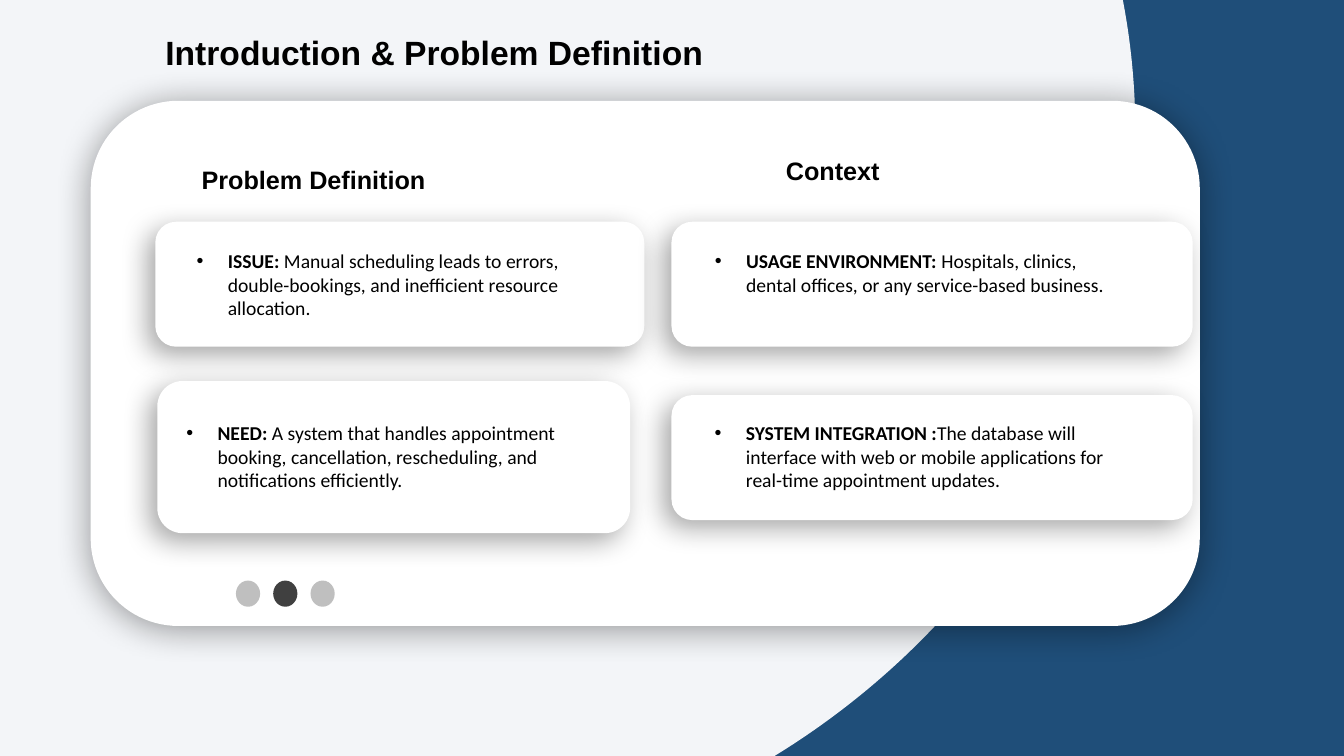
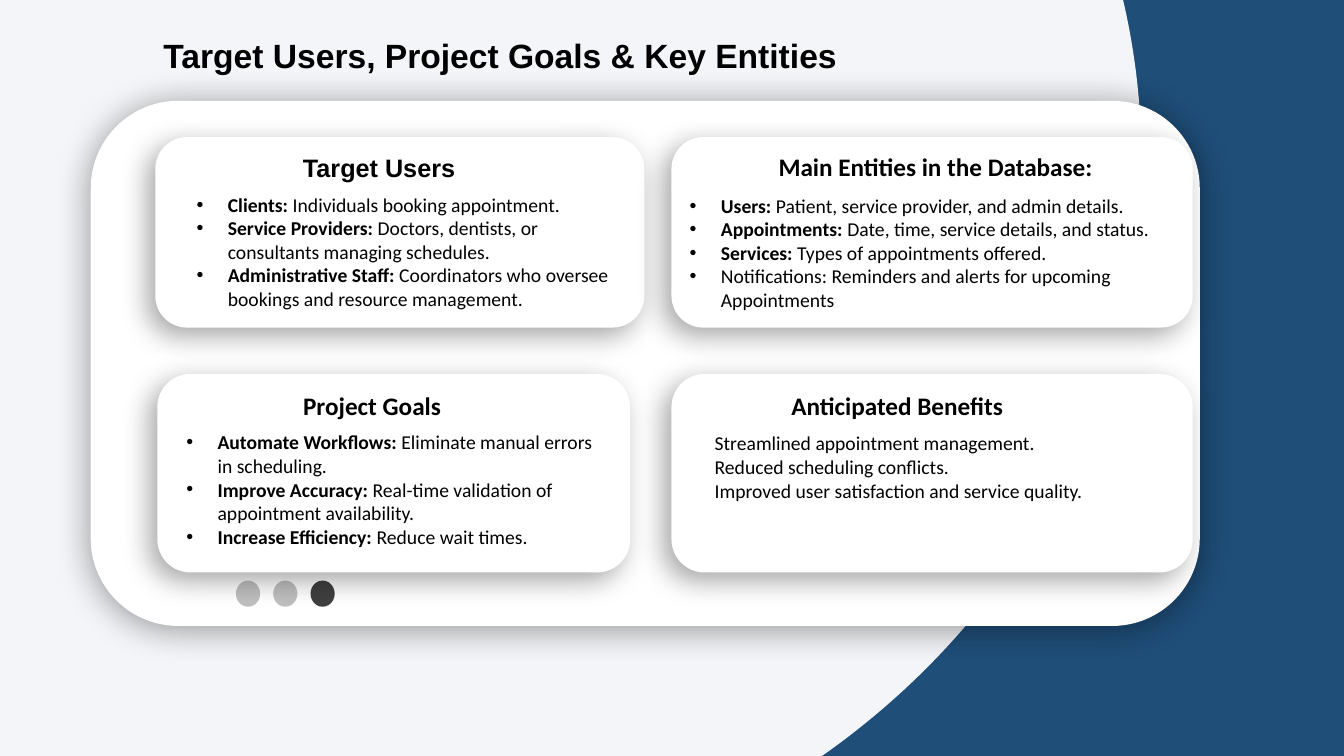
from dataclasses import dataclass

from lxml import etree
from pptx import Presentation
from pptx.dml.color import RGBColor
from pptx.enum.shapes import MSO_SHAPE
from pptx.enum.text import MSO_ANCHOR, MSO_AUTO_SIZE, PP_ALIGN
from pptx.oxml.ns import qn
from pptx.util import Inches, Pt

NAVY, WHITE, BLACK = "1F4E79", "FFFFFF", "000000"
DOT, ACTIVE_DOT = "BFBFBF", "404040"
HEADING_FONT, BODY_FONT = "Arial", "Calibri"
BULLET_INDENT = 0.31
PANEL_SHADOW = {"opacity": 40, "blur": 26, "distance": 3, "angle": 90}
CARD_SHADOW = {"opacity": 34, "blur": 20, "distance": 8, "angle": 135}
DOT_COUNT, DOT_STEP = 3, 0.37


@dataclass
class Box:
    """A rectangle in inches."""
    left: float
    top: float
    width: float
    height: float

    def inside(self, part):
        """Return a part, given relative to this box, in page coordinates."""
        return Box(self.left + part.left, self.top + part.top, part.width, part.height)

    def lengths(self):
        """Return left, top, width and height as lengths."""
        return [Inches(v) for v in (self.left, self.top, self.width, self.height)]


@dataclass
class Card:
    """A card, with its heading and text placed relative to its box."""
    box: Box
    text_box: Box
    items: list
    heading: str = ""
    heading_box: Box = None
    heading_font: str = BODY_FONT
    heading_align: PP_ALIGN = PP_ALIGN.CENTER
    bullets: bool = True


PANEL = Box(0.9, 1, 11, 5.21)
FIRST_DOT = Box(1.44, 4.76, 0.24, 0.26)

PAGES = [
    {
        "title": "Introduction & Problem Definition",
        "title_box": Box(1.54, 0.27, 6.79, 0.5),
        "circle": Box(-4.63, -6.11, 15.89, 14.83),
        "active": 1,
        "cards": [
            Card(Box(0.64, 1.2, 4.85, 1.24), Box(0.31, 0.22, 4.06, 0.81),
                 [("ISSUE:", " Manual scheduling leads to errors, double-bookings, "
                             "and inefficient resource allocation.")],
                 "Problem Definition", Box(0.3, -0.62, 2.54, 0.4), HEADING_FONT),
            Card(Box(5.76, 1.2, 5.17, 1.24), Box(0.33, 0.22, 4.33, 0.57),
                 [("USAGE ENVIRONMENT:", " Hospitals, clinics, dental offices, "
                                         "or any service-based business.")],
                 "Context", Box(0.33, -0.71, 2.54, 0.4), HEADING_FONT),
            Card(Box(0.66, 2.78, 4.69, 1.51), Box(0.19, 0.35, 4.3, 0.81),
                 [("NEED: ", "A system that handles appointment booking, cancellation, "
                             "rescheduling, and notifications efficiently.")]),
            Card(Box(5.76, 2.92, 5.17, 1.24), Box(0.33, 0.21, 4.33, 0.81),
                 [("SYSTEM INTEGRATION :", "The database will interface with web or mobile "
                                           "applications for real-time appointment updates.")]),
        ],
    },
    {
        "title": "Target Users, Project Goals & Key Entities",
        "title_box": Box(1.52, 0.3, 7.72, 0.5),
        "circle": Box(-4.57, -5.84, 15.89, 14.83),
        "active": 2,
        "cards": [
            Card(Box(0.64, 0.36, 4.85, 1.89), Box(0.31, 0.5, 4.4, 1.28),
                 [("Clients: ", "Individuals booking appointment."),
                  ("Service Providers: ", "Doctors, dentists, or consultants managing schedules."),
                  ("Administrative Staff: ",
                   "Coordinators who oversee bookings and resource management.")],
                 "Target Users", Box(0.95, 0.1, 2.54, 0.4), HEADING_FONT),
            Card(Box(5.76, 0.36, 5.17, 1.89), Box(0.08, 0.51, 5.02, 1.28),
                 [("Users:", " Patient, service provider, and admin details."),
                  ("Appointments:", " Date, time, service details, and status."),
                  ("Services:", " Types of appointments offered."),
                  ("", "Notifications: Reminders and alerts for upcoming Appointments")],
                 "Main Entities in the Database:", Box(0.87, 0.09, 3.5, 0.4)),
            Card(Box(0.66, 2.71, 4.69, 1.97), Box(0.19, 0.51, 4.3, 1.28),
                 [("Automate Workflows: ", "Eliminate manual errors in scheduling."),
                  ("Improve Accuracy: ", "Real-time validation of appointment availability."),
                  ("Increase Efficiency: ", "Reduce wait times.")],
                 "Project Goals", Box(0.86, 0.11, 2.54, 0.4)),
            Card(Box(5.76, 2.71, 5.17, 1.97), Box(0.33, 0.52, 4.33, 0.78),
                 [("", "Streamlined appointment management."),
                  ("", "Reduced scheduling conflicts."),
                  ("", "Improved user satisfaction and service quality.")],
                 "Anticipated Benefits", Box(1.09, 0.11, 2.54, 0.4),
                 heading_align=PP_ALIGN.LEFT, bullets=False),
        ],
    },
]


def paint(fill, color):
    """Make a fill solid in a hex colour."""
    fill.solid()
    fill.fore_color.rgb = RGBColor.from_string(color)


def add_plain_shape(page, kind, box, color):
    """Add a filled shape without line or shadow."""
    shape = page.shapes.add_shape(kind, *box.lengths())
    shape.shadow.inherit = False
    paint(shape.fill, color)
    shape.line.fill.background()
    return shape


def set_opacity(color_element, percent):
    """Give a colour element an opacity."""
    etree.SubElement(color_element, qn("a:alpha"), val=str(percent * 1000))


def cast_shadow(shape, opacity, blur, distance, angle):
    """Give a shape a soft black outer shadow."""
    effects = shape.element.spPr.find(qn("a:effectLst"))
    shadow = etree.SubElement(
        effects, qn("a:outerShdw"), blurRad=str(Pt(blur)), dist=str(Pt(distance)),
        dir=str(angle * 60000), algn="ctr", rotWithShape="0")
    set_opacity(etree.SubElement(shadow, qn("a:srgbClr"), val=BLACK), opacity)


def set_bullet(para, bullet):
    """Turn the bullet of a paragraph on or off."""
    properties = para._p.get_or_add_pPr()
    indent = Inches(BULLET_INDENT) if bullet else 0
    properties.set("marL", str(indent))
    properties.set("indent", str(-indent))
    if bullet:
        etree.SubElement(properties, qn("a:buFont"), typeface="Arial")
        etree.SubElement(properties, qn("a:buChar"), char="•")
    else:
        etree.SubElement(properties, qn("a:buNone"))


def write_text(page, box, items, holder=None, size=14, font=BODY_FONT,
               align=PP_ALIGN.LEFT, bullets=False):
    """Write bold-and-regular text pairs in a placeholder or a new text box."""
    if holder is None:
        holder = page.shapes.add_textbox(*box.lengths())
    else:
        holder.left, holder.top, holder.width, holder.height = box.lengths()
        holder.element.getparent().append(holder.element)
    frame = holder.text_frame
    frame.word_wrap = True
    frame.auto_size = MSO_AUTO_SIZE.NONE
    frame.vertical_anchor = MSO_ANCHOR.TOP
    for number, pair in enumerate(items):
        para = frame.add_paragraph() if number else frame.paragraphs[0]
        para.alignment = align
        para.space_before = Pt(0)
        set_bullet(para, bullets)
        for text, bold in zip(pair, (True, False)):
            if text:
                span = para.add_run()
                span.text = text
                span.font.size = Pt(size)
                span.font.name = font
                span.font.bold = bold
                span.font.color.rgb = RGBColor.from_string(BLACK)


def add_header(page, circle, title, title_box):
    """Add the pale circle and the title on it."""
    disc = add_plain_shape(page, MSO_SHAPE.OVAL, circle, WHITE)
    set_opacity(disc.element.spPr.find(".//" + qn("a:srgbClr")), 95)
    write_text(page, title_box, [(title, "")], page.shapes.title,
               size=24, font=HEADING_FONT)


def add_panel(page, box, active):
    """Add the large panel with its page dots."""
    panel = add_plain_shape(page, MSO_SHAPE.ROUNDED_RECTANGLE, box, WHITE)
    cast_shadow(panel, **PANEL_SHADOW)
    for number in range(DOT_COUNT):
        dot = box.inside(FIRST_DOT).inside(
            Box(number * DOT_STEP, 0, FIRST_DOT.width, FIRST_DOT.height))
        add_plain_shape(page, MSO_SHAPE.OVAL, dot,
                        ACTIVE_DOT if number == active else DOT)


def add_card(page, panel, card, heading_holder, list_holder):
    """Add a card with its heading and list inside the panel."""
    box = panel.inside(card.box)
    shape = add_plain_shape(page, MSO_SHAPE.ROUNDED_RECTANGLE, box, WHITE)
    cast_shadow(shape, **CARD_SHADOW)
    if card.heading:
        write_text(page, box.inside(card.heading_box), [(card.heading, "")],
                   heading_holder, size=18, font=card.heading_font,
                   align=card.heading_align)
    write_text(page, box.inside(card.text_box), card.items, list_holder,
               bullets=card.bullets)


def add_page(deck, content):
    """Add one slide with header, panel and cards."""
    page = deck.slides.add_slide(deck.slide_layouts.get_by_name("Comparison"))
    holders = {holder.placeholder_format.idx: holder for holder in page.placeholders}
    add_header(page, content["circle"], content["title"], content["title_box"])
    add_panel(page, PANEL, content["active"])
    for number, card in enumerate(content["cards"]):
        add_card(page, PANEL, card, holders.get(2 * number + 1),
                 holders.get(2 * number + 2))


def main():
    """Build and save the deck."""
    deck = Presentation()
    deck.slide_width, deck.slide_height = Inches(13.33), Inches(7.5)
    paint(deck.slide_master.background.fill, NAVY)
    for content in PAGES:
        add_page(deck, content)
    deck.save("out.pptx")


if __name__ == "__main__":
    main()
